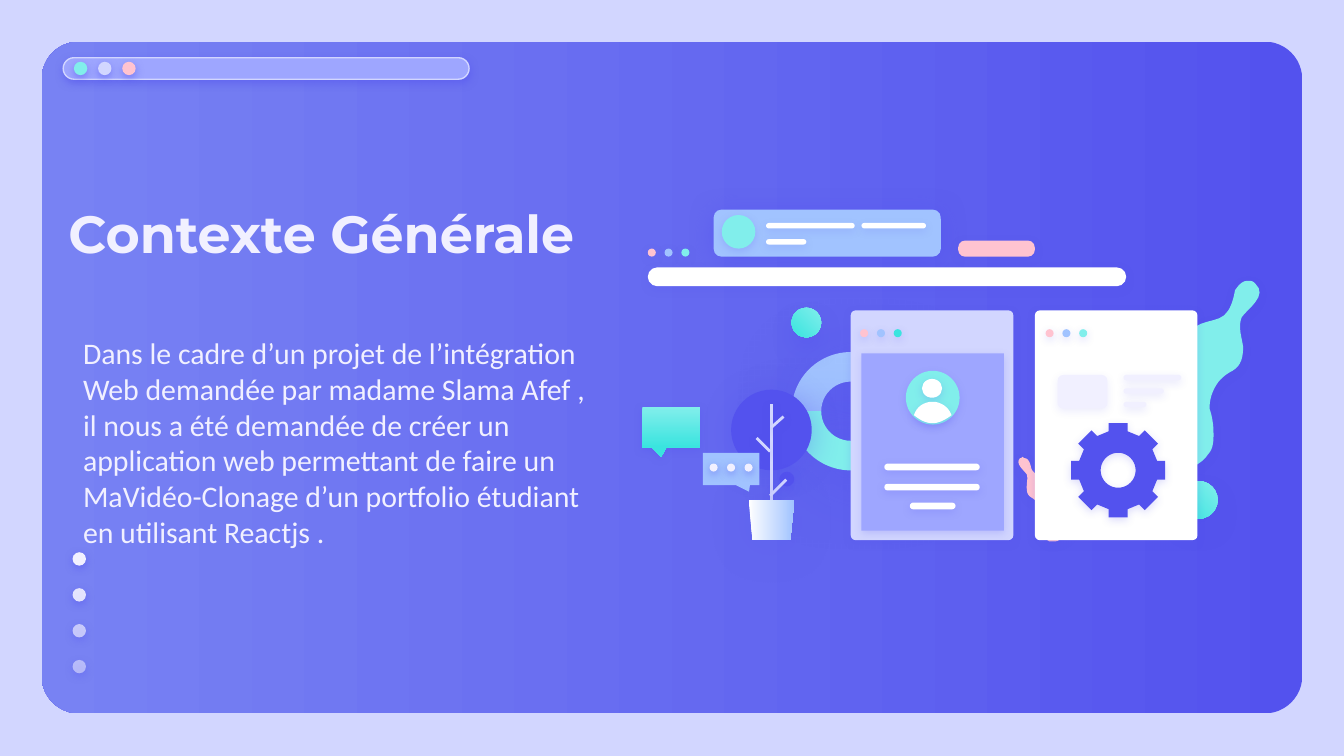
import math
from lxml import etree
from pptx import Presentation
from pptx import util as u
from pptx.dml.color import RGBColor
from pptx.enum import shapes, text
from pptx.oxml import ns

INCH = 2.54  # positions below are in inches, converted to Cm
COLORS = {
    "lavender": "D2D6FF", "indigo": "5352EE", "violet": "7882F3",
    "periwinkle": "9EA6FF", "mint": "81EEEB", "teal": "3AE4DF",
    "pink": "FFC3D0", "sky": "A1C3FF", "pale": "F1F0FF", "white": "FFFFFF",
}
RGB = {name: RGBColor.from_string(value) for name, value in COLORS.items()}
KIND = shapes.MSO_SHAPE

deck = Presentation()
deck.slide_width, deck.slide_height = u.Cm(25.4), u.Cm(14.29)
slide = deck.slides.add_slide(deck.slide_layouts[6])
slide.background.fill.solid()
slide.background.fill.fore_color.rgb = RGB["lavender"]


def shade(shape, opacity, blur=4.5, distance=1.5, angle=90):
    """Give a soft indigo shadow, or none when opacity is 0."""
    effects = etree.SubElement(shape._element.spPr, ns.qn("a:effectLst"))
    if opacity:
        outer = etree.SubElement(
            effects, ns.qn("a:outerShdw"), blurRad=str(int(u.Pt(blur))),
            dist=str(int(u.Pt(distance))), dir=str(angle * 60000),
            algn="bl", rotWithShape="0")
        color = etree.SubElement(outer, ns.qn("a:srgbClr"), val=COLORS["indigo"])
        etree.SubElement(color, ns.qn("a:alpha"), val=str(opacity * 1000))


def draw(kind, place, fill, adj=(), shadow=(18,), angle=0, alpha=100, border=None):
    """Draw a preset in a box, or, when kind is None, a list of contours.

    A contour step of two numbers is a line, one of six a Bezier curve.
    A pair of fill names is a gradient running at the given angle.
    """
    if kind is None:
        builder = None
        for start, *steps in place:
            points, (x, y) = [], start
            for step in steps:
                if len(step) == 2:
                    points.append(step)
                else:
                    a, b, c, d, e, f = step
                    for t in (i / 8 for i in range(1, 9)):
                        s = 1 - t
                        points.append((
                            s**3 * x + 3 * s * s * t * a + 3 * s * t * t * c + t**3 * e,
                            s**3 * y + 3 * s * s * t * b + 3 * s * t * t * d + t**3 * f))
                x, y = points[-1]
            first = [u.Cm(INCH * v) for v in start]
            if builder is None:
                builder = slide.shapes.build_freeform(*first)
            else:
                builder.move_to(*first)
            builder.add_line_segments(
                [(u.Cm(INCH * px), u.Cm(INCH * py)) for px, py in points], close=True)
        shape = builder.convert_to_shape()
    else:
        shape = slide.shapes.add_shape(kind, *(u.Cm(INCH * v) for v in place))
    for i, value in enumerate(adj):
        shape.adjustments[i] = value
    if isinstance(fill, tuple):
        shape.fill.gradient()
        shape.fill.gradient_angle = -angle % 360
        for stop, name in zip(shape.fill.gradient_stops, fill):
            stop.color.rgb = RGB[name]
    else:
        shape.fill.solid()
        shape.fill.fore_color.rgb = RGB[fill]
        if alpha < 100:
            color = shape._element.spPr.find(".//" + ns.qn("a:srgbClr"))
            etree.SubElement(color, ns.qn("a:alpha"), val=str(alpha * 1000))
    if border:
        shape.line.color.rgb = RGB[border]
        shape.line.width = u.Pt(0.75)
    else:
        shape.line.fill.background()
    shade(shape, *shadow)
    return shape


# Window frame, address bar and side dots
draw(KIND.ROUNDED_RECTANGLE, (0.31, 0.31, 9.38, 5), ("indigo", "violet"),
     adj=[0.056], shadow=(0,), angle=180)
draw(KIND.ROUNDED_RECTANGLE, (0.47, 0.43, 3.02, 0.16), "periwinkle",
     adj=[0.5], shadow=(50,), border="lavender")
for i, color in enumerate(["mint", "lavender", "pink"]):
    draw(KIND.OVAL, (0.55 + 0.18 * i, 0.46, 0.1, 0.1), color, shadow=(50,))
for i, alpha in enumerate([100, 90, 67, 54]):
    draw(KIND.OVAL, (0.54, 4.11 + 0.267 * i, 0.1, 0.1), "pale", shadow=(50,), alpha=alpha)

# Title and body text
for place, words, font, size, bold, align in [
    ((0.38, 1.11, 4.02, 1.24), "Contexte Générale", "Montserrat", 28, True,
     text.PP_ALIGN.CENTER),
    ((0.52, 2.36, 3.94, 1.86),
     "Dans le cadre d’un projet de l’intégration Web demandée par madame Slama Afef , "
     "il nous a été demandée de créer un application web permettant de faire un "
     "MaVidéo-Clonage d’un portfolio étudiant en utilisant Reactjs .",
     "Calibri", 16, False, text.PP_ALIGN.LEFT),
]:
    frame = slide.shapes.add_textbox(*(u.Cm(INCH * v) for v in place)).text_frame
    frame.word_wrap = True
    frame.vertical_anchor = text.MSO_ANCHOR.MIDDLE
    frame.margin_left = frame.margin_right = u.Cm(0.25)
    frame.margin_top = frame.margin_bottom = u.Cm(0.25)
    frame.text = words
    frame.paragraphs[0].alignment = align
    style = frame.paragraphs[0].runs[0].font
    style.name, style.size, style.bold = font, u.Pt(size), bold
    style.color.rgb = RGB["pale"]

# Pink and mint splashes behind the pages
draw(None, [[
    (7.61, 3.4), (7.61, 3.4, 7.6, 3.41, 7.59, 3.41), (7.55, 3.45, 7.62, 3.5, 7.64, 3.53),
    (7.65, 3.56, 7.64, 3.59, 7.64, 3.62), (7.64, 3.65, 7.64, 3.68, 7.67, 3.7),
    (7.69, 3.71, 7.71, 3.73, 7.72, 3.74), (7.74, 3.77, 7.75, 3.8, 7.75, 3.83),
    (7.74, 3.85, 7.73, 3.88, 7.73, 3.91), (7.73, 3.93, 7.73, 3.96, 7.75, 3.98),
    (7.77, 4, 7.79, 4.02, 7.81, 4.03), (7.85, 4.03, 7.87, 4.03, 7.88, 4.02),
    (7.92, 4.01, 7.96, 3.98, 7.98, 3.94), (8.01, 3.87, 7.99, 3.79, 7.93, 3.74),
    (7.91, 3.73, 7.89, 3.73, 7.88, 3.71), (7.85, 3.68, 7.85, 3.64, 7.84, 3.6),
    (7.79, 3.51, 7.72, 3.56, 7.68, 3.5), (7.67, 3.48, 7.67, 3.46, 7.66, 3.44),
    (7.65, 3.42, 7.64, 3.41, 7.62, 3.41)]], "pink", shadow=(22,))
draw(None, [[
    (9.3, 2.09), (9.32, 2.09, 9.33, 2.1, 9.34, 2.11), (9.44, 2.2, 9.28, 2.3, 9.24, 2.36),
    (9.21, 2.43, 9.24, 2.51, 9.25, 2.58), (9.25, 2.65, 9.24, 2.72, 9.17, 2.76),
    (9.13, 2.78, 9.09, 2.81, 9.06, 2.85), (9.02, 2.91, 9, 2.97, 9, 3.04),
    (9.02, 3.1, 9.03, 3.16, 9.03, 3.23), (9.03, 3.27, 9.03, 3.34, 8.99, 3.38),
    (8.95, 3.44, 8.9, 3.46, 8.85, 3.49), (8.84, 3.49, 8.83, 3.5, 8.81, 3.5),
    (8.78, 3.5, 8.73, 3.49, 8.71, 3.48), (8.61, 3.45, 8.52, 3.38, 8.47, 3.29),
    (8.41, 3.14, 8.46, 2.95, 8.6, 2.85), (8.64, 2.83, 8.68, 2.81, 8.71, 2.77),
    (8.76, 2.72, 8.77, 2.61, 8.8, 2.54), (8.9, 2.34, 9.07, 2.43, 9.14, 2.31),
    (9.17, 2.26, 9.18, 2.21, 9.19, 2.16), (9.21, 2.13, 9.24, 2.09, 9.28, 2.09)]],
    "mint", shadow=(22,))

# Profile card and pink button
draw(KIND.ROUNDED_RECTANGLE, (5.31, 1.56, 1.69, 0.35), "sky", adj=[0.167], shadow=(50, 14.6))
for x, y, width in [(5.7, 1.66, 0.66), (6.41, 1.66, 0.48), (5.7, 1.78, 0.3)]:
    draw(KIND.ROUNDED_RECTANGLE, (x, y, width, 0.04), "white", adj=[0.5], shadow=(14,))
draw(KIND.OVAL, (5.37, 1.6, 0.25, 0.25), "mint")
draw(KIND.ROUNDED_RECTANGLE, (7.13, 1.79, 0.57, 0.12), "pink", adj=[0.423], shadow=(24,))

# Speech bubble, ring and plant
draw(KIND.ROUNDED_RECTANGULAR_CALLOUT, (4.78, 3.03, 0.43, 0.3), ("mint", "teal"),
     adj=[-0.174, 0.731, 0], shadow=(31,), angle=90)
for color, turn in [("sky", 0), ("mint", 180)]:
    half_ring = draw(KIND.BLOCK_ARC, (5.89, 2.62, 0.88, 0.88), color,
                     adj=[108, 0, 0.25], shadow=(67, 38.2, 9, 49))
    half_ring.rotation = turn
draw(KIND.OVAL, (5.44, 2.9, 0.6, 0.6), "indigo", shadow=(36, 16.9))
draw(KIND.OVAL, (5.8, 3.51, 0.11, 0.11), "indigo", shadow=(26,))
for ends in [(5.74, 3.01, 5.74, 3.72), (5.63, 3.26, 5.73, 3.36),
             (5.83, 3.1, 5.74, 3.18), (5.85, 3.57, 5.73, 3.69)]:
    twig = slide.shapes.add_connector(
        shapes.MSO_CONNECTOR.STRAIGHT, *(u.Cm(INCH * v) for v in ends))
    twig.line.color.rgb = RGB["lavender"]
    twig.line.width = u.Pt(1.5)
    shade(twig, 28)
draw(None, [[(5.57, 3.72), (5.91, 3.72), (5.88, 4.02), (5.6, 4.02)]],
     ("white", "sky"), shadow=(24, 25.9))
draw(KIND.ROUNDED_RECTANGULAR_CALLOUT, (5.23, 3.37, 0.42, 0.24), "sky",
     adj=[0.317, 0.706, 0], shadow=(0,))
for i in range(3):
    draw(KIND.OVAL, (5.28 + 0.13 * i, 3.45, 0.06, 0.06), "pale", shadow=(50,))

# Floating balls and search bar
for x, y, size in [(8.78, 3.58, 0.28), (5.89, 2.29, 0.22)]:
    draw(KIND.OVAL, (x, y, size, size), ("mint", "teal"), shadow=(38, 12.4, 6.8), angle=135)
draw(KIND.ROUNDED_RECTANGLE, (4.82, 1.99, 3.56, 0.14), "white", adj=[0.5])

# Two pages, the inner panel and the window dots
for x, color in [(7.7, "white"), (6.33, "lavender")]:
    draw(KIND.ROUNDED_RECTANGLE, (x, 2.31, 1.21, 1.71), color, adj=[0.03])
draw(KIND.RECTANGLE, (6.41, 2.63, 1.06, 1.32), "periwinkle")
for x, y, last in [(4.82, 1.85, "mint"), (7.78, 2.45, "mint"), (6.4, 2.45, "teal")]:
    for i, color in enumerate(["pink", "sky", last]):
        draw(KIND.OVAL, (x + 0.125 * i, y, 0.06, 0.06), color)

# Gear: eight teeth turned round the centre, with a round hole
gear_x, gear_y = 8.32, 3.5
teeth = []
for k in range(8):
    cos, sin = math.cos(k * math.pi / 4), math.sin(k * math.pi / 4)
    teeth += [(gear_x + x * cos - y * sin, gear_y + x * sin + y * cos)
              for x, y in [(-0.07, -0.29), (-0.07, -0.35), (0.07, -0.35), (0.07, -0.29)]]
hole = [(gear_x + 0.13 * math.cos(k * math.pi / 20), gear_y - 0.13 * math.sin(k * math.pi / 20))
        for k in range(40)]
draw(None, [teeth, hole], "indigo")

# Text lines and avatar on the left page
for x, y, width in [(6.58, 3.45, 0.71), (6.58, 3.6, 0.71), (6.77, 3.74, 0.34)]:
    draw(KIND.ROUNDED_RECTANGLE, (x, y, width, 0.05), "white", adj=[0.5])
draw(KIND.OVAL, (6.74, 2.76, 0.4, 0.4), "mint")
draw(KIND.OVAL, (6.86, 2.82, 0.15, 0.14), "white")
draw(None, [[(6.94, 2.99), (6.87, 2.99, 6.82, 3.03, 6.8, 3.09),
             (6.84, 3.12, 6.88, 3.15, 6.94, 3.15), (6.99, 3.15, 7.04, 3.12, 7.08, 3.09),
             (7.06, 3.03, 7, 2.99, 6.94, 2.99)]], "white")

# Faint blocks on the right page
draw(KIND.ROUNDED_RECTANGLE, (7.87, 2.79, 0.37, 0.25), "pale", adj=[0.167], shadow=(9,))
for i, width in enumerate([0.43, 0.3, 0.17]):
    draw(KIND.ROUNDED_RECTANGLE, (8.36, 2.79 + 0.1 * i, width, 0.04), "pale",
         adj=[0.5], shadow=(14,))

deck.save("out.pptx")
